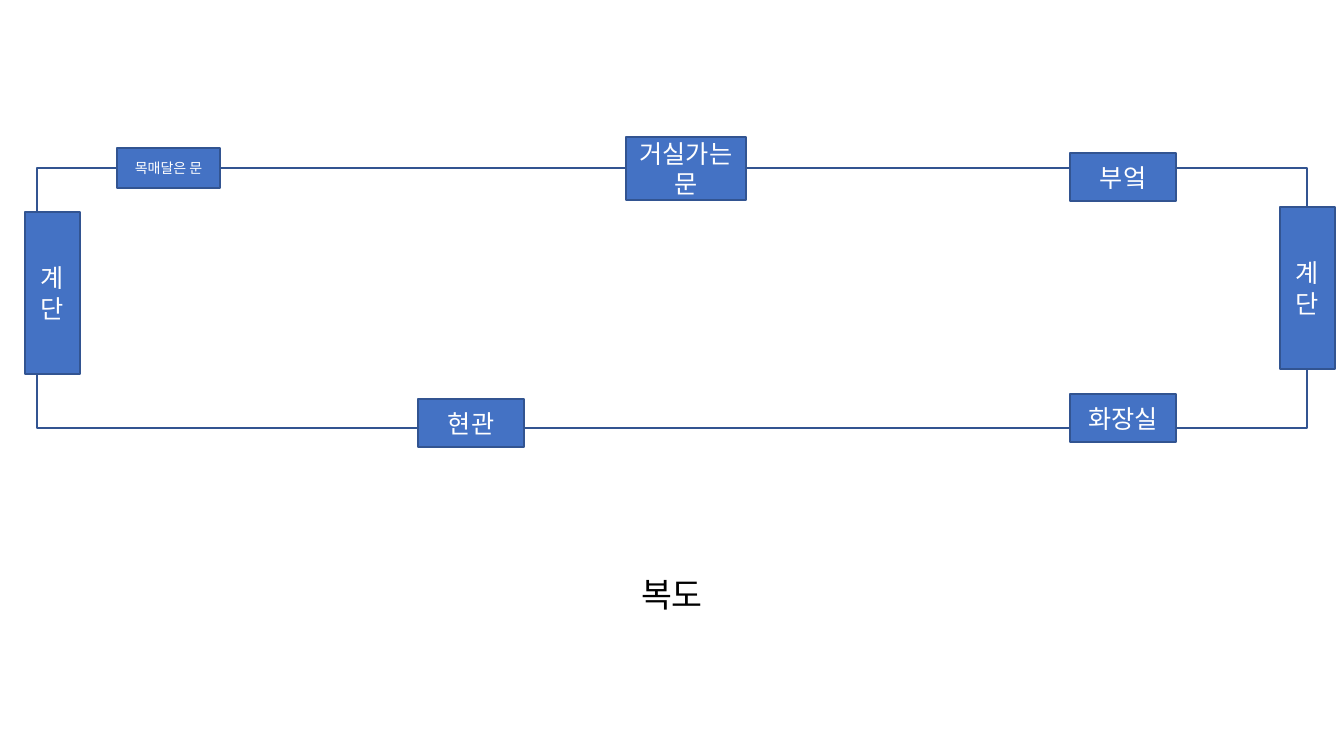
from typing import NamedTuple

from lxml import etree
from pptx import Presentation, util as u
from pptx.dml.color import RGBColor
from pptx.enum import shapes, text
from pptx.oxml.ns import qn

PX = 914400 / 100.8
FONT = "Noto Sans CJK KR"
WHITE = RGBColor(0xFF, 0xFF, 0xFF)
BLACK = RGBColor(0x00, 0x00, 0x00)
BLUE = RGBColor(0x44, 0x72, 0xC4)
OUTLINE = RGBColor(0x32, 0x54, 0x91)


class Box(NamedTuple):
    left: int
    top: int
    width: int
    height: int

    def to_emu(self) -> list[u.Emu]:
        return [px(length) for length in self]


class Landmark(NamedTuple):
    label: str
    box: Box
    size: int = 18


CORRIDOR = Box(37, 168, 1270, 260)
TITLE = Box(168, 574, 1008, 182)
STAIRS = (55, 162)
ROOM = (106, 48)
LANDMARKS = [
    Landmark("목매달은 문", Box(117, 148, 103, 40), 10),
    Landmark("계\n단", Box(25, 212, *STAIRS)),
    Landmark("현관", Box(418, 399, *ROOM)),
    Landmark("거실가는 문", Box(626, 137, 120, 63)),
    Landmark("부엌", Box(1070, 153, *ROOM)),
    Landmark("화장실", Box(1070, 394, *ROOM)),
    Landmark("계\n단", Box(1280, 207, *STAIRS)),
]


def px(length: int) -> u.Emu:
    return u.Emu(round(length * PX))


def write_centered(frame, content: str, size: int, color: RGBColor) -> None:
    frame.word_wrap = True
    frame.text = content
    for paragraph in frame.paragraphs:
        paragraph.alignment = text.PP_ALIGN.CENTER
        font = paragraph.font
        font.size = u.Pt(size)
        font.color.rgb = color
        font.name = FONT
        # Korean glyphs take the East Asian typeface.
        properties = paragraph._p.find(qn("a:pPr")).find(qn("a:defRPr"))
        etree.SubElement(properties, qn("a:ea"), typeface=FONT)


def add_rectangle(slide, box: Box, fill: RGBColor):
    shape = slide.shapes.add_shape(shapes.MSO_SHAPE.RECTANGLE, *box.to_emu())
    shape.shadow.inherit = False
    shape.fill.solid()
    shape.fill.fore_color.rgb = fill
    shape.line.color.rgb = OUTLINE
    shape.line.width = u.Pt(1)
    return shape


def add_landmark(slide, landmark: Landmark) -> None:
    shape = add_rectangle(slide, landmark.box, BLUE)
    shape.text_frame.vertical_anchor = text.MSO_ANCHOR.MIDDLE
    write_centered(shape.text_frame, landmark.label, landmark.size, WHITE)


def add_title(slide) -> None:
    frame = slide.shapes.add_textbox(*TITLE.to_emu()).text_frame
    write_centered(frame, "복도", 24, BLACK)
    frame.paragraphs[0].line_spacing = 0.9


def main() -> None:
    presentation = Presentation()
    presentation.slide_width = px(1344)
    presentation.slide_height = px(756)
    slide = presentation.slides.add_slide(presentation.slide_layouts[6])
    add_rectangle(slide, CORRIDOR, WHITE)
    add_title(slide)
    for landmark in LANDMARKS:
        add_landmark(slide, landmark)
    presentation.save("out.pptx")


if __name__ == "__main__":
    main()
